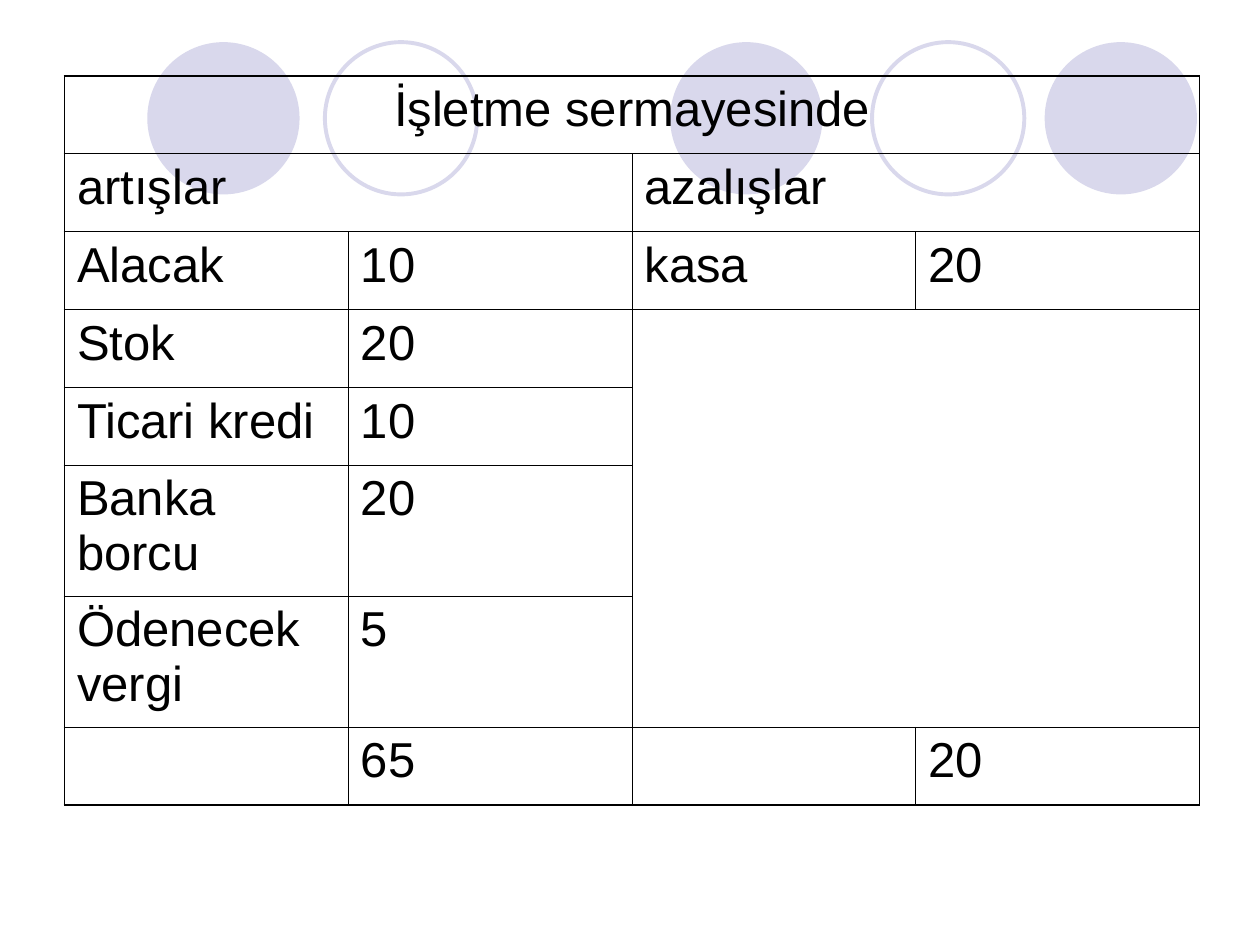
from dataclasses import dataclass
from itertools import product

from lxml import etree
from pptx import Presentation
from pptx.dml.color import RGBColor
from pptx.enum.shapes import MSO_SHAPE
from pptx.enum.text import PP_ALIGN
from pptx.oxml.ns import qn
from pptx.util import Cm, Pt

OVAL = MSO_SHAPE.OVAL
CENTER, LEFT = PP_ALIGN.CENTER, PP_ALIGN.LEFT
PLAIN_TABLE = "{2D5ABB26-0587-4C30-8999-92F81FD0307C}"


@dataclass(frozen=True)
class Theme:
    ink: str = "000000"
    lilac: str = "D9D8EC"
    font: str = "Arial"
    size: float = 28
    space: float = 7
    outer: float = 1.08
    inner: float = 0.45
    ring: float = 2.25


class Deck:
    def __init__(self, theme):
        self.theme = theme
        self.prs = Presentation()
        self.prs.slide_width, self.prs.slide_height = Cm(25.4), Cm(19.05)
        self.s = self.prs.slides.add_slide(self.prs.slide_layouts[6])

    def circle(self, x, y, size, filled):
        sp = self.s.shapes.add_shape(OVAL, Cm(x), Cm(y), Cm(size), Cm(size))
        sp.shadow.inherit = False
        lilac = RGBColor.from_string(self.theme.lilac)
        if filled:
            sp.fill.solid()
            sp.fill.fore_color.rgb = lilac
            sp.line.fill.background()
        else:
            sp.fill.background()
            sp.line.color.rgb = lilac
            sp.line.width = Pt(self.theme.ring)

    def cell_text(self, cell, text, align):
        p = cell.text_frame.paragraphs[0]
        p.alignment, p.space_before = align, Pt(self.theme.space)
        r = p.add_run()
        r.text = text
        style = {"name": self.theme.font, "size": Pt(self.theme.size)}
        for key, value in style.items():
            setattr(r.font, key, value)
        r.font.color.rgb = RGBColor.from_string(self.theme.ink)

    def border(self, cell, edges):
        tc_pr = cell._tc.get_or_add_tcPr()
        for i, (side, width) in enumerate(edges.items()):
            ln = etree.Element(qn(f"a:ln{side}"), w=str(Pt(width)))
            fill = etree.SubElement(ln, qn("a:solidFill"))
            etree.SubElement(fill, qn("a:srgbClr"), val=self.theme.ink)
            tc_pr.insert(i, ln)

    def outline(self, table, row, col, height, width):
        bottom, right = row + height, col + width
        rows, cols = len(table.rows), len(table.columns)
        is_outer = {"L": col == 0, "R": right == cols,
                    "T": row == 0, "B": bottom == rows}
        for r, c in product(range(row, bottom), range(col, right)):
            on_edge = {"L": c == col, "R": c == right - 1,
                       "T": r == row, "B": r == bottom - 1}
            origin = (r, c) == (row, col)
            self.border(table.cell(r, c), {
                side: self.theme.outer if outer else self.theme.inner
                for side, outer in is_outer.items() if origin or on_edge[side]})

    def table(self, x, y, widths, heights, rows, merges):
        frame = self.s.shapes.add_table(
            len(heights), len(widths), Cm(x), Cm(y),
            Cm(sum(widths)), Cm(sum(heights)))
        table = frame.table
        table.first_row = table.horz_banding = False
        table._tbl.tblPr.find(qn("a:tableStyleId")).text = PLAIN_TABLE
        for column, width in zip(table.columns, widths):
            column.width = Cm(width)
        for row, height in zip(table.rows, heights):
            row.height = Cm(height)
        for row, col, last_row, last_col in merges:
            table.cell(row, col).merge(table.cell(last_row, last_col))
        for r, c in product(range(len(heights)), range(len(widths))):
            cell = table.cell(r, c)
            cell.fill.background()
            if rows[r][c]:
                self.cell_text(cell, rows[r][c], LEFT if r else CENTER)
            if not cell.is_spanned:
                self.outline(table, r, c, cell.span_height if cell.is_merge_origin else 1,
                             cell.span_width if cell.is_merge_origin else 1)

    def save(self):
        self.prs.save("out.pptx")


def main():
    deck = Deck(Theme())
    for x, filled in [(13.51, True), (21.06, True), (2.97, True),
                      (17.58, False), (6.55, False)]:
        deck.circle(x, 0.85, 3.07, filled)

    rows = [
        ("İşletme sermayesinde", "", "", ""),
        ("artışlar", "", "azalışlar", ""),
        ("Alacak", "10", "kasa", "20"),
        ("Stok", "20", "", ""),
        ("Ticari kredi", "10", "", ""),
        ("Banka borcu", "20", "", ""),
        ("Ödenecek vergi", "5", "", ""),
        ("", "65", "", "20"),
    ]
    single, double = 1.57, 2.64
    heights = [single] * 5 + [double] * 2 + [single]
    merges = [(0, 0, 0, 3), (1, 0, 1, 1), (1, 2, 1, 3), (3, 2, 6, 3)]
    deck.table(1.3, 1.53, [5.72] * 4, heights, rows, merges)
    deck.save()


if __name__ == "__main__":
    main()
